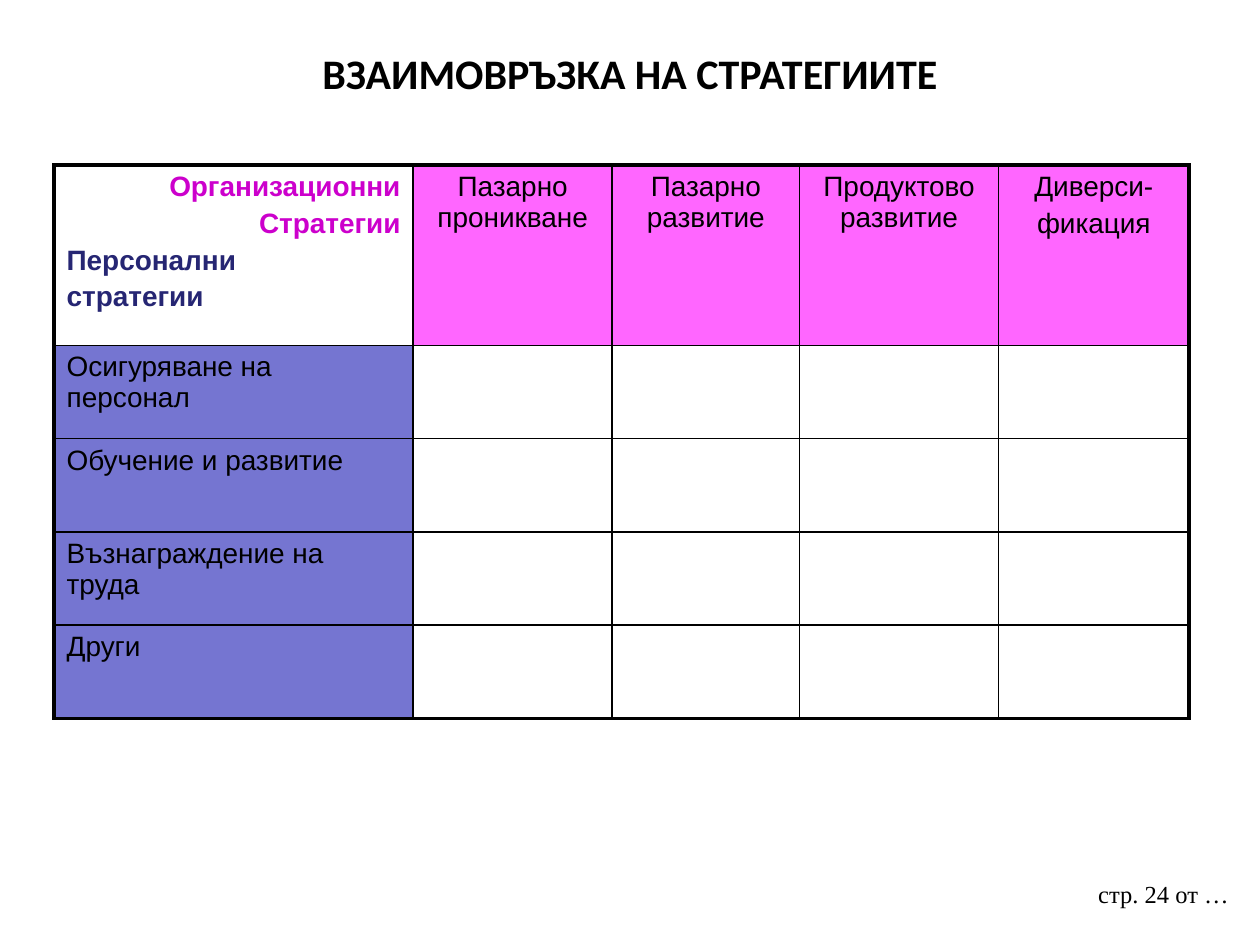
from lxml.etree import SubElement
from pptx import Presentation
from pptx.dml.color import RGBColor
from pptx.enum.text import MSO_ANCHOR as Anchor, PP_ALIGN as Align
from pptx.oxml.ns import qn
from pptx.util import Cm, Pt

BLACK, PINK, VIOLET = "000000", "FF66FF", "7575D1"
MAGENTA, NAVY = "CC00CC", "262673"
THIN, THICK = Pt(1), Pt(2.25)
COLUMN_WIDTHS = [7.24, 4.01, 3.78, 4.01, 3.84]
ROW_HEIGHTS = [3.63] + [1.88] * 4
ORGANIZATION_STRATEGIES = [
    ["Пазарно проникване"],
    ["Пазарно развитие"],
    ["Продуктово развитие"],
    ["Диверси-", "фикация"],
]
PERSONNEL_STRATEGIES = [
    "Осигуряване на персонал",
    "Обучение и развитие",
    "Възнаграждение на труда",
    "Други",
]


def color(value):
    """Turn a hex string into a colour."""
    return RGBColor.from_string(value)


def add_span(para, text, font, size, ink=BLACK, bold=False):
    """Add one formatted run to a paragraph."""
    span = para.add_run()
    span.text = text
    span.font.name = font
    span.font.size = Pt(size)
    span.font.bold = bold
    span.font.color.rgb = color(ink)


def add_label(page, text, bounds, font, size, align=Align.LEFT, bold=False, top=0.13):
    """Add a text box with a single line of text."""
    box = page.shapes.add_textbox(*[Cm(length) for length in bounds])
    frame = box.text_frame
    frame.word_wrap = True
    frame.vertical_anchor = Anchor.TOP
    frame.margin_top = Cm(top)
    para = frame.paragraphs[0]
    para.alignment = align
    add_span(para, text, font, size, bold=bold)


def write_cell(cell, lines, align=Align.LEFT, ink=BLACK, bold=False):
    """Write lines into a cell, after any lines already there."""
    frame = cell.text_frame
    for line in lines:
        para = frame.paragraphs[0]
        if para.runs:
            para = frame.add_paragraph()
            para.space_before = Pt(3.2)
        para.alignment = align
        add_span(para, line, "Arial", 16, ink, bold)


def fill_cell(cell, value):
    """Give a cell a solid fill."""
    cell.fill.solid()
    cell.fill.fore_color.rgb = color(value)


def set_borders(cell, widths):
    """Draw the left, right, top and bottom borders of a cell."""
    properties = cell._tc.get_or_add_tcPr()
    for index, (side, width) in enumerate(zip("LRTB", widths)):
        line = SubElement(properties, qn(f"a:ln{side}"), w=str(int(width)))
        fill = SubElement(line, qn("a:solidFill"))
        SubElement(fill, qn("a:srgbClr"), val=BLACK)
        properties.insert(index, line)


def add_grid(page):
    """Add the empty table with its frame and inner lines."""
    rows, columns = len(ROW_HEIGHTS), len(COLUMN_WIDTHS)
    frame = page.shapes.add_table(
        rows, columns, Cm(1.09), Cm(3.33),
        Cm(sum(COLUMN_WIDTHS)), Cm(sum(ROW_HEIGHTS)),
    )
    table = frame.table
    table.first_row = table.horz_banding = False
    for column, width in zip(table.columns, COLUMN_WIDTHS):
        column.width = Cm(width)
    for row, height in zip(table.rows, ROW_HEIGHTS):
        row.height = Cm(height)
    for i in range(rows):
        for j in range(columns):
            cell = table.cell(i, j)
            cell.fill.background()
            edges = (j == 0, j == columns - 1, i == 0, i == rows - 1)
            set_borders(cell, [THICK if edge else THIN for edge in edges])
    return table


def fill_table(table):
    """Write the corner and the two headings of the strategy matrix."""
    corner = table.cell(0, 0)
    write_cell(corner, ["Организационни", "Стратегии"], Align.RIGHT, MAGENTA, True)
    write_cell(corner, ["Персонални", "стратегии"], ink=NAVY, bold=True)
    for j, lines in enumerate(ORGANIZATION_STRATEGIES, 1):
        write_cell(table.cell(0, j), lines, Align.CENTER)
        fill_cell(table.cell(0, j), PINK)
    for i, line in enumerate(PERSONNEL_STRATEGIES, 1):
        write_cell(table.cell(i, 0), [line])
        fill_cell(table.cell(i, 0), VIOLET)


def main():
    """Build and save the slide."""
    deck = Presentation()
    deck.slide_width, deck.slide_height = Cm(25.4), Cm(19.05)
    page = deck.slides.add_slide(deck.slide_layouts[6])
    add_label(page, "стр. 24 от …", (21.89, 17.6, 3.3, 1.32), "Times New Roman", 14)
    add_label(page, "ВЗАИМОВРЪЗКА НА СТРАТЕГИИТЕ", (1.27, 0.76, 22.86, 3.18),
              "Calibri", 24, Align.CENTER, True, top=0.2)
    fill_table(add_grid(page))
    deck.save("out.pptx")


if __name__ == "__main__":
    main()
